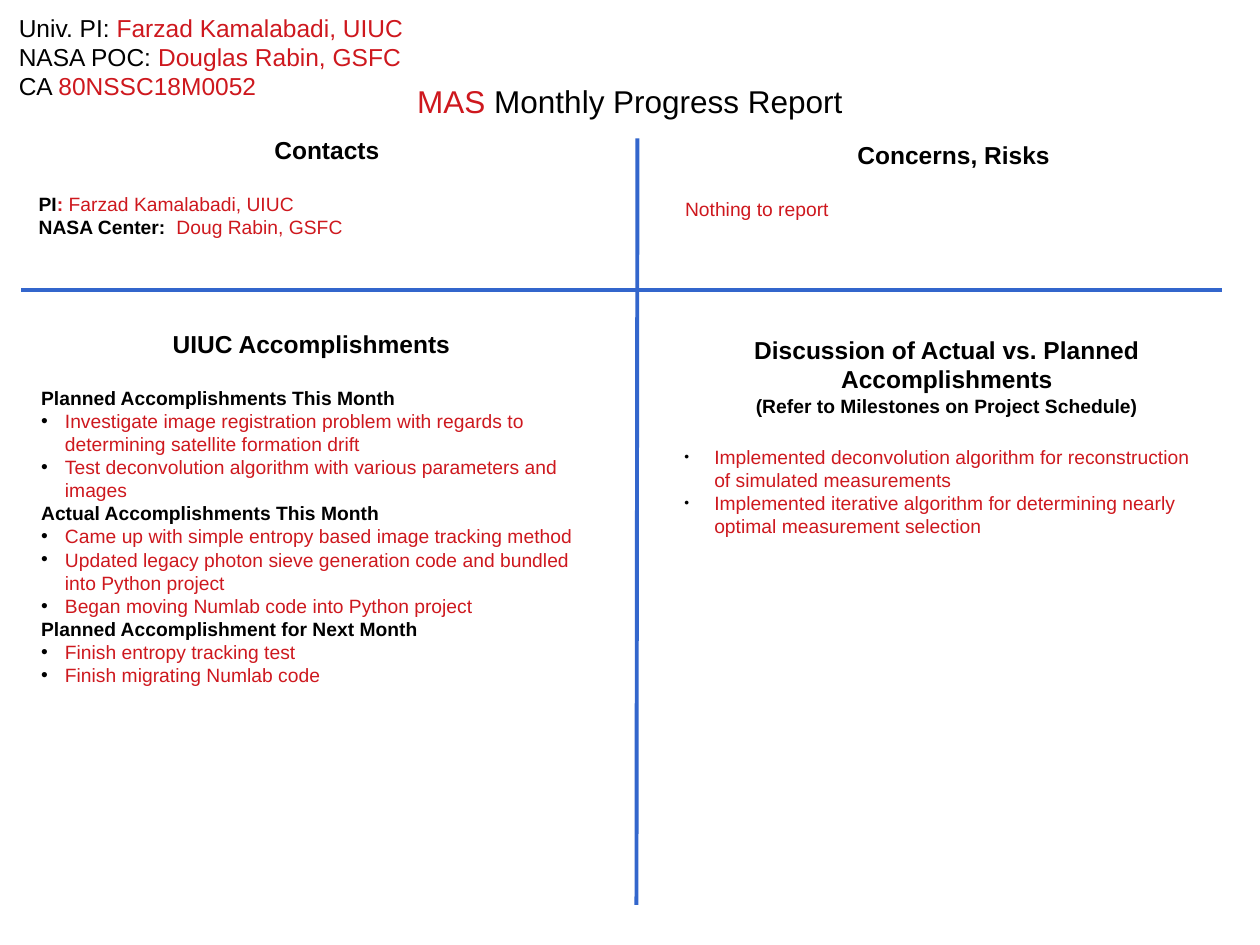
from lxml.etree import SubElement
from pptx import Presentation
from pptx.dml.color import RGBColor
from pptx.enum.shapes import MSO_CONNECTOR as Connector
from pptx.enum.text import PP_ALIGN as Align
from pptx.oxml.ns import qn
from pptx.util import Cm, Pt

BLACK, RED, BLUE = "000000", "CE181E", "3366CC"
HEADING, BODY, TITLE = 14, 11, 18


def color(value):
    """Turn a hex string into a colour."""
    return RGBColor.from_string(value)


def add_span(para, text, size=BODY, fill=BLACK, bold=False):
    """Append formatted text to a paragraph."""
    span = para.add_run()
    span.text = text
    span.font.name = "Arial"
    span.font.size = Pt(size)
    span.font.bold = bold
    span.font.color.rgb = color(fill)


def add_bullet(para, char, indent, percent):
    """Give a paragraph a black bullet and a hanging indent."""
    props = para._p.get_or_add_pPr()
    props.set("marL", str(Cm(indent)))
    props.set("indent", str(-Cm(indent)))
    tint = SubElement(props, qn("a:buClr"))
    SubElement(tint, qn("a:srgbClr"), val=BLACK)
    SubElement(props, qn("a:buSzPct"), val=str(percent * 1000))
    SubElement(props, qn("a:buFont"), typeface="Arial")
    SubElement(props, qn("a:buChar"), char=char)


def add_box(page, box):
    """Add a wrapping text box and return its text frame."""
    frame = page.shapes.add_textbox(*map(Cm, box)).text_frame
    frame.word_wrap = True
    return frame


def next_para(frame):
    """Return the empty first paragraph or a new one."""
    first = frame.paragraphs[0]
    return frame.add_paragraph() if first.runs else first


def header(page, box):
    """Write the project identification lines."""
    frame = add_box(page, box)
    for label, value in (
        ("Univ. PI: ", "Farzad Kamalabadi, UIUC"),
        ("NASA POC: ", "Douglas Rabin, GSFC"),
        ("CA ", "80NSSC18M0052"),
    ):
        para = next_para(frame)
        add_span(para, label, size=HEADING)
        add_span(para, value, size=HEADING, fill=RED)


def title(page, box):
    """Write the centred report title."""
    para = next_para(add_box(page, box))
    para.alignment = Align.CENTER
    add_span(para, "MAS", size=TITLE, fill=RED)
    add_span(para, " Monthly Progress Report", size=TITLE)


def quadrant(page, box, heading, note=None):
    """Write a quadrant heading and return its text frame."""
    frame = add_box(page, box)
    for text, size in ((heading, HEADING), (note, BODY)):
        if text:
            para = next_para(frame)
            para.alignment = Align.CENTER
            add_span(para, text, size=size, bold=True)
    return frame


def body_para(frame, first):
    """Add a body paragraph, set apart from the heading when first."""
    para = next_para(frame)
    if first:
        para.space_before = Pt(16)
    return para


def contacts(page, box):
    """Fill the contacts quadrant."""
    frame = quadrant(page, box, "Contacts")
    para = body_para(frame, True)
    add_span(para, "PI", bold=True)
    add_span(para, ": ", fill=RED, bold=True)
    add_span(para, "Farzad Kamalabadi, UIUC", fill=RED)
    para = body_para(frame, False)
    add_span(para, "NASA Center:  ", bold=True)
    add_span(para, "Doug Rabin, GSFC", fill=RED)


def concerns(page, box):
    """Fill the concerns quadrant."""
    frame = quadrant(page, box, "Concerns, Risks")
    add_span(body_para(frame, True), "Nothing to report", fill=RED)


def accomplishments(page, box):
    """Fill the accomplishments quadrant."""
    frame = quadrant(page, box, "UIUC Accomplishments")
    groups = {
        "Planned Accomplishments This Month": (
            "Investigate image registration problem with regards to determining satellite formation drift",
            "Test deconvolution algorithm with various parameters and images",
        ),
        "Actual Accomplishments This Month": (
            "Came up with simple entropy based image tracking method",
            "Updated legacy photon sieve generation code and bundled into Python project",
            "Began moving Numlab code into Python project",
        ),
        "Planned Accomplishment for Next Month": (
            "Finish entropy tracking test",
            "Finish migrating Numlab code",
        ),
    }
    for number, (label, items) in enumerate(groups.items()):
        add_span(body_para(frame, number == 0), label, bold=True)
        for item in items:
            para = body_para(frame, False)
            add_bullet(para, "•", 0.48, 100)
            add_span(para, item, fill=RED)


def discussion(page, box):
    """Fill the discussion quadrant."""
    frame = quadrant(
        page, box, "Discussion of Actual vs. Planned Accomplishments",
        note="(Refer to Milestones on Project Schedule)",
    )
    for number, item in enumerate((
        "Implemented deconvolution algorithm for reconstruction of simulated measurements",
        "Implemented iterative algorithm for determining nearly optimal measurement selection",
    )):
        para = body_para(frame, number == 0)
        add_bullet(para, "●", 0.61, 45)
        add_span(para, item, fill=RED)


def divider(page, *ends):
    """Draw a blue line between two points."""
    line = page.shapes.add_connector(Connector.STRAIGHT, *map(Cm, ends))
    line.line.color.rgb = color(BLUE)
    line.line.width = Pt(2.25)
    SubElement(line._element.spPr, qn("a:effectLst"))


def main():
    """Build and save the report slide."""
    deck = Presentation()
    deck.slide_width, deck.slide_height = Cm(25.4), Cm(19.05)
    page = deck.slides.add_slide(deck.slide_layouts[6])
    divider(page, 12.85, 2.79, 12.83, 18.24)
    divider(page, 0.43, 5.84, 24.64, 5.84)
    discussion(page, (13.54, 6.63, 11.1, 5.94))
    contacts(page, (0.53, 2.59, 12.12, 5.97))
    accomplishments(page, (0.58, 6.5, 11.4, 6.4))
    title(page, (0.76, 1.52, 23.88, 0.97))
    header(page, (0.13, 0.13, 10.21, 2.16))
    concerns(page, (13.56, 2.69, 11.33, 3.12))
    deck.save("out.pptx")


if __name__ == "__main__":
    main()
